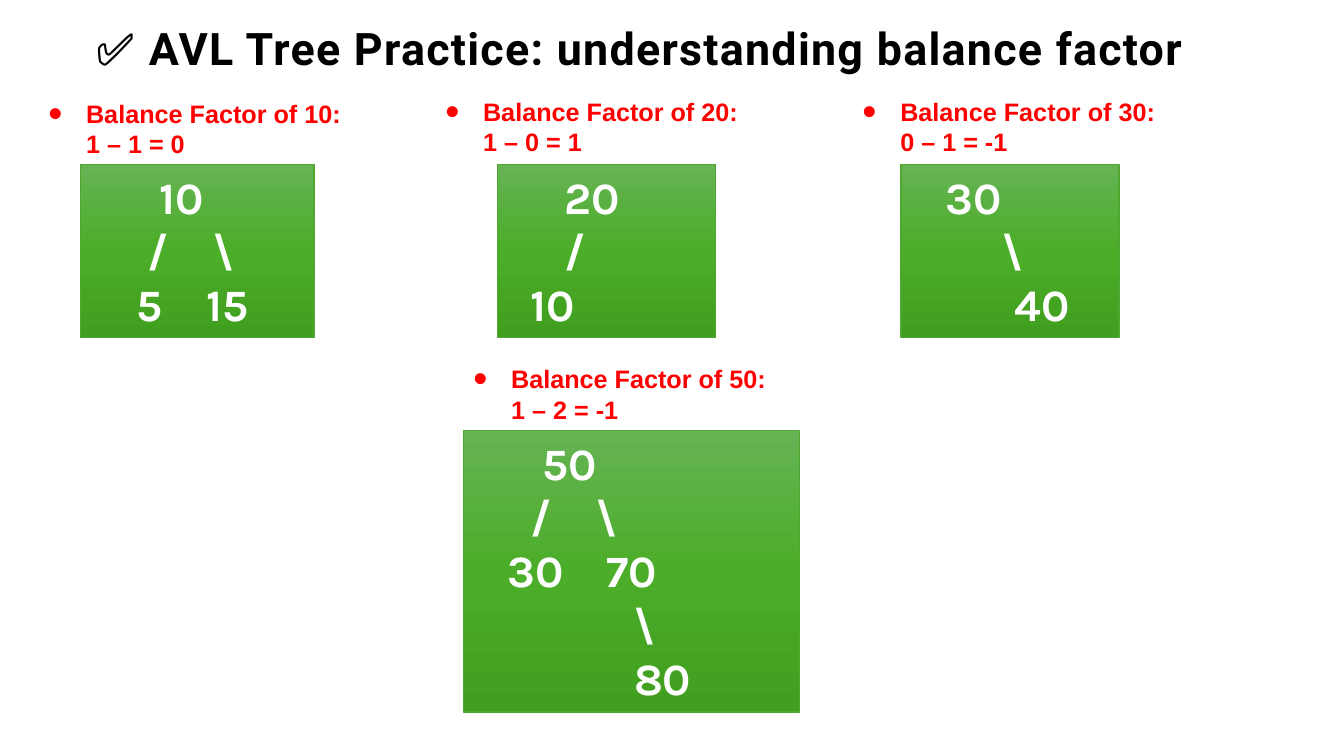
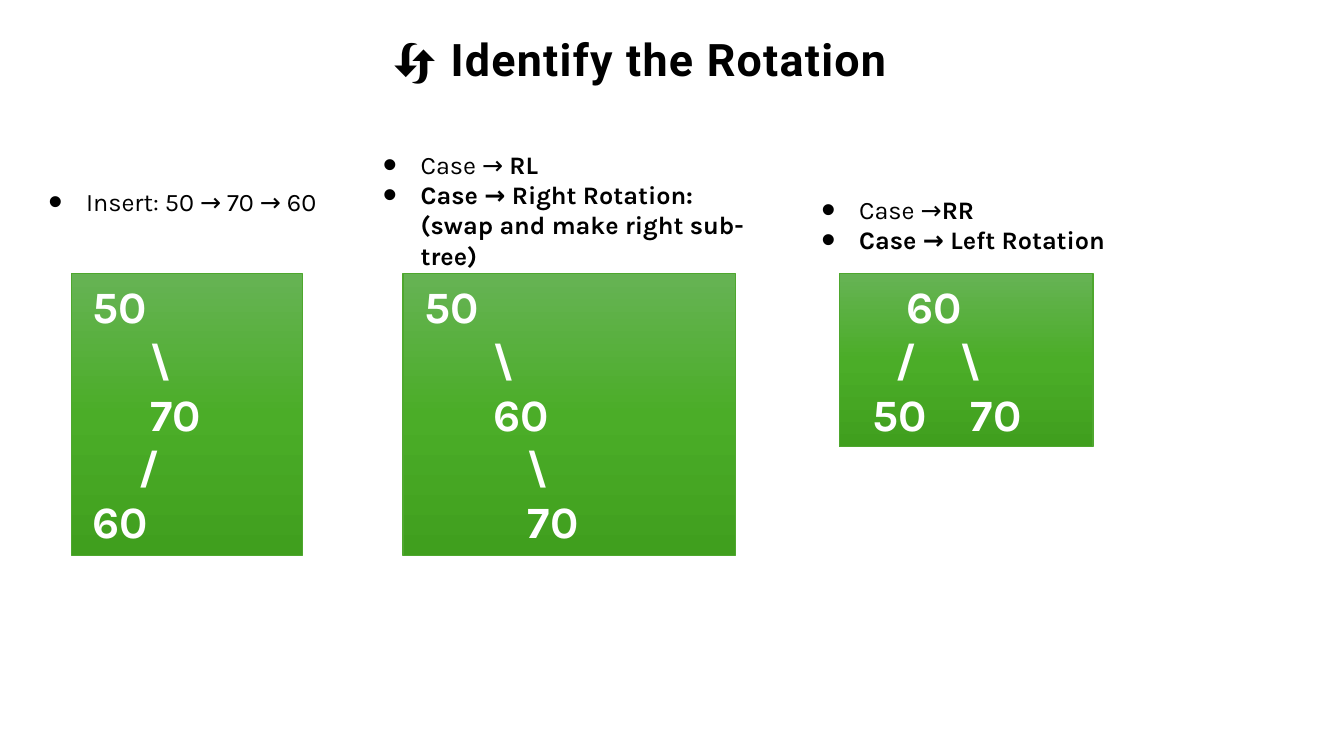
from copy import deepcopy

from lxml import etree
from pptx import Presentation
from pptx.dml.color import RGBColor
from pptx.enum import shapes, text
from pptx.oxml import ns
from pptx.util import Pt

BLACK = RGBColor(0x00, 0x00, 0x00)
WHITE = RGBColor(0xFF, 0xFF, 0xFF)
RED = RGBColor(0xFF, 0x00, 0x00)
EDGE = RGBColor(0x4E, 0xA7, 0x2E)
GREENS = (
    (0, RGBColor(0x66, 0xB3, 0x54)),
    (0.5, RGBColor(0x4B, 0xAD, 0x28)),
    (1, RGBColor(0x40, 0x9F, 0x1E)),
)
COLUMN = 8.2
INDENT = 27
LOW_TREE = 124
HIGH_TREE = 201


def write(para, words, font="Karla", size=18, color=BLACK, bold=False, spacing=None):
    span = para.add_run()
    span.text = words
    span.font.name = font
    span.font.size = Pt(size)
    span.font.bold = bold
    span.font.color.rgb = color
    if spacing is not None:
        span.font._element.set("spc", str(round(spacing * 100)))
    return span


def add_child(parent, tag, **attributes):
    child = etree.SubElement(parent, ns.qn(tag))
    for name, value in attributes.items():
        child.set(name, str(value))
    return child


class Deck:
    def __init__(self):
        self.deck = Presentation()
        self.deck.slide_width = Pt(960)
        self.deck.slide_height = Pt(540)
        self.page = None

    def add_page(self, title, top):
        self.page = self.deck.slides.add_slide(self.deck.slide_layouts[6])
        frame = self.text_box(51, top, 812, 66)
        frame.margin_left = frame.margin_right = 0
        frame.margin_top = frame.margin_bottom = 0
        frame.vertical_anchor = text.MSO_ANCHOR.MIDDLE
        para = frame.paragraphs[0]
        para.alignment = text.PP_ALIGN.CENTER
        para.line_spacing = 0.8
        write(para, title, font="Roboto", size=32, bold=True, spacing=0.9)

    def text_box(self, left, top, width, height):
        box = self.page.shapes.add_textbox(Pt(left), Pt(top), Pt(width), Pt(height))
        box.text_frame.word_wrap = True
        return box.text_frame

    def bullets(self, left, top, width, height, items, **style):
        frame = self.text_box(left, top, width, height)
        for index, (plain, strong) in enumerate(items):
            para = frame.add_paragraph() if index else frame.paragraphs[0]
            properties = para._p.get_or_add_pPr()
            properties.set("marL", str(Pt(INDENT)))
            properties.set("indent", str(-Pt(INDENT)))
            add_child(properties, "a:buSzPct", val=160000)
            add_child(properties, "a:buFont", typeface="Arial")
            add_child(properties, "a:buChar", char="•")
            for words, bold in ((plain, False), (strong, True)):
                if words:
                    write(para, words, bold=bold, **style)

    def balance(self, left, top, node, result):
        label = f"Balance Factor of {node}: {result}"
        self.bullets(left, top, 225, 51, [("", label)], font="Arial", color=RED)

    def tree(self, left, top, width, rows):
        height = 7.2 + 38.8 * len(rows)
        box = self.page.shapes.add_shape(
            shapes.MSO_SHAPE.RECTANGLE, Pt(left), Pt(top), Pt(width), Pt(height)
        )
        box.shadow.inherit = False
        self.paint(box)
        frame = box.text_frame
        frame.word_wrap = True
        frame.vertical_anchor = text.MSO_ANCHOR.TOP
        for index, row in enumerate(rows):
            para = frame.add_paragraph() if index else frame.paragraphs[0]
            para.alignment = text.PP_ALIGN.LEFT
            stops = add_child(para._p.get_or_add_pPr(), "a:tabLst")
            for column, _ in row:
                add_child(stops, "a:tab", pos=Pt(column * COLUMN), algn="l")
            words = "".join("\t" + label for _, label in row)
            write(para, words, size=32, color=WHITE, bold=True)

    def paint(self, box):
        box.line.color.rgb = EDGE
        box.line.width = Pt(1)
        box.fill.gradient()
        box.fill.gradient_angle = 270
        stop_list = box._element.spPr.find(".//" + ns.qn("a:gsLst"))
        stop_list.append(deepcopy(stop_list[0]))
        for stop, (position, color) in zip(box.fill.gradient_stops, GREENS):
            stop.position = position
            stop.color.rgb = color


def balance_page(deck):
    deck.add_page("✅ AVL Tree Practice: understanding balance factor", 4.3)
    deck.tree(57.6, 117.4, 166.6, [
        [(6, "10")],
        [(5, "/"), (10.7, "\\")],
        [(4, "5"), (10.1, "15")],
    ])
    deck.tree(355.4, 117.4, 155.8, [[(5, "20")], [(5, "/")], [(2, "10")]])
    deck.tree(643.7, 117.4, 155.8, [[(3, "30")], [(8, "\\")], [(9, "40")]])
    deck.tree(331, 307.4, 240, [
        [(6, "50")],
        [(5, "/"), (10.7, "\\")],
        [(3, "30"), (11.6, "70")],
        [(14, "\\")],
        [(14, "80")],
    ])
    for left, top, node, result in (
        (27.4, 66.5, 10, "1 – 1 = 0"),
        (311, 65.3, 20, "1 – 0 = 1"),
        (609, 65.3, 30, "0 – 1 = -1"),
        (331, 256.3, 50, "1 – 2 = -1"),
    ):
        deck.balance(left, top, node, result)


def rotation_page(deck):
    deck.add_page("🔄 Identify the Rotation", 12.2)
    deck.bullets(27.4, 129.4, 225, 51, [("Insert: 50 → 70 → 60", "")])
    deck.tree(51, 195.6, 165, [
        [(1, "50")], [(6, "\\")], [(6, "70")], [(5, "/")], [(1, "60")],
    ])
    deck.tree(288, 195.6, 237.6, [
        [(1, "50")], [(7, "\\")], [(7, "60")], [(10, "\\")], [(10, "70")],
    ])
    deck.bullets(266.4, 103, 275.8, 73, [
        ("Case → ", "RL"),
        ("", "Case → Right Rotation: (swap and make right sub-tree)"),
    ])
    deck.bullets(579.6, 135.2, 225, 51, [
        ("Case →", "RR"),
        ("", "Case → Left Rotation"),
    ])
    deck.tree(599.5, 195.6, 181.4, [
        [(5, "60")],
        [(4, "/"), (9.7, "\\")],
        [(2, "50"), (10.6, "70")],
    ])


def main():
    deck = Deck()
    balance_page(deck)
    rotation_page(deck)
    deck.deck.save("out.pptx")


if __name__ == "__main__":
    main()
